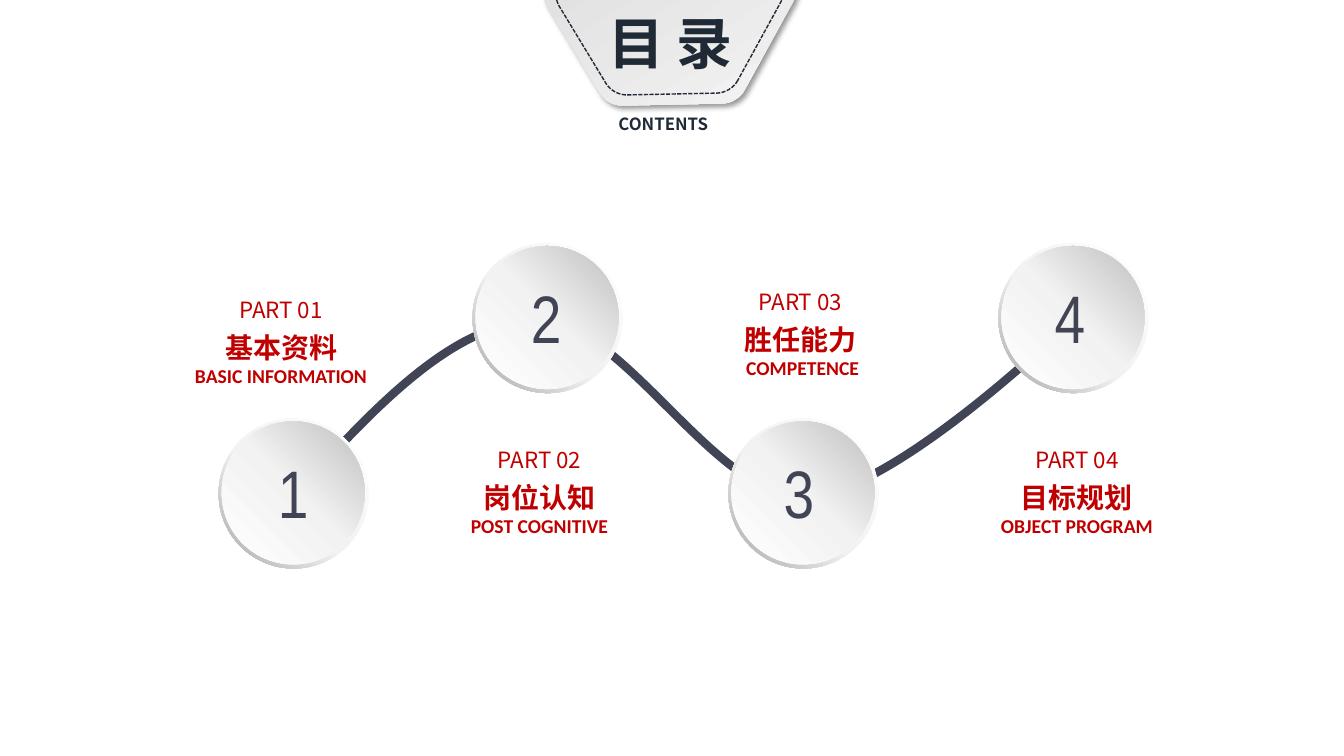
import math
import lxml.etree
import pptx
import pptx.util
import pptx.dml.color
import pptx.enum.dml
import pptx.enum.shapes
import pptx.enum.text
import pptx.oxml.ns

Inches, Pt = pptx.util.Inches, pptx.util.Pt
qn = pptx.oxml.ns.qn
ALIGN = pptx.enum.text.PP_ALIGN

COLORS = {"navy": "202A36", "slate": "414455", "red": "C00000", "black": "000000"}
CJK = "Noto Sans CJK SC"
HEADING, SUBHEADING = "目 录", "CONTENTS"
PARTS = [
    {"number": "1", "disc": (2.17, 4.15), "digit": (2.66, 0.46), "label": (1.83, 2.81, 1.92),
     "lines": ("PART 01", "基本资料", "BASIC INFORMATION")},
    {"number": "2", "disc": (4.69, 2.41), "digit": (5.17, 0.54), "label": (4.57, 4.30, 1.57),
     "lines": ("PART 02", "岗位认知", "POST COGNITIVE")},
    {"number": "3", "disc": (7.23, 4.15), "digit": (7.68, 0.56), "label": (7.25, 2.73, 1.39),
     "lines": ("PART 03", "胜任能力", " COMPETENCE")},
    {"number": "4", "disc": (9.91, 2.41), "digit": (10.37, 0.54), "label": (9.83, 4.30, 1.72),
     "lines": ("PART 04", "目标规划", "OBJECT PROGRAM")},
]
LINE_STYLES = [(16, CJK, False), (20, CJK, True), (14, "Calibri", True)]
PATHWAY = [
    [(2.89, 4.95)],
    [(3.69, 4.07), (4.5, 3.18), (5.35, 3.18)],
    [(6.19, 3.18), (7.09, 4.94), (7.98, 4.93)],
    [(8.87, 4.92), (10.69, 3.13), (10.69, 3.13)],
]
BADGE_CENTER, BADGE_TILT, BADGE_TURN = (6.65, -0.08), -0.6, 59.4
BADGE_STOPS = [(0, "D3D3D3"), (100, "F9F9F9")]
RIM_STOPS = [(0, "FFFFFF"), (55, "F2F2F2"), (100, "A6A6A6")]
FACE_STOPS = [(0, "FFFFFF"), (51, "F2F2F2"), (100, "BFBFBF")]


def rgb(value):
    return pptx.dml.color.RGBColor.from_string(value)


def toward(start, end, share):
    return tuple(a + (b - a) * share for a, b in zip(start, end))


def rounded_hexagon(radius, cut):
    corners = []
    for k in range(6):
        angle = math.radians(60 * k + BADGE_TILT)
        corners.append((BADGE_CENTER[0] + radius * math.cos(angle),
                        BADGE_CENTER[1] + radius * math.sin(angle)))
    segments = []
    for k, corner in enumerate(corners):
        entry = toward(corner, corners[k - 1], cut / radius)
        leave = toward(corner, corners[(k + 1) % 6], cut / radius)
        segments.append([entry])
        segments.append([toward(entry, corner, 0.6), toward(leave, corner, 0.6), leave])
    return segments


def add_outline(shapes, segments, close):
    segments = [[(Inches(x), Inches(y)) for x, y in segment] for segment in segments]
    builder = shapes.build_freeform(*segments[0][0], scale=1.0)
    builder.add_line_segments([segment[-1] for segment in segments[1:]], close=close)
    outline = builder.convert_to_shape()
    outline.shadow.inherit = False
    for line, segment in zip(list(outline._element.iter(qn("a:lnTo"))), segments[1:]):
        if len(segment) == 3:
            curve = lxml.etree.Element(qn("a:cubicBezTo"))
            for x, y in segment:
                lxml.etree.SubElement(curve, qn("a:pt"), x=str(x - outline.left),
                                      y=str(y - outline.top))
            line.getparent().replace(line, curve)
    return outline


def fill_gradient(shape, stops, clockwise):
    shape.fill.gradient()
    stop_list = shape._element.spPr.find(qn("a:gradFill")).find(qn("a:gsLst"))
    for stop in list(stop_list):
        stop_list.remove(stop)
    for position, value in stops:
        stop = lxml.etree.SubElement(stop_list, qn("a:gs"), pos=str(position * 1000))
        lxml.etree.SubElement(stop, qn("a:srgbClr"), val=value)
    shape.fill.gradient_angle = (360 - clockwise) % 360
    shape.line.fill.background()


def add_drop_shadow(shape):
    effects = shape._element.spPr.find(qn("a:effectLst"))
    shadow = lxml.etree.SubElement(effects, qn("a:outerShdw"), blurRad=str(Pt(4)), dist=str(Pt(3)),
                                   dir=str(45 * 60000), algn="tl", rotWithShape="0")
    tint = lxml.etree.SubElement(shadow, qn("a:srgbClr"), val=COLORS["black"])
    lxml.etree.SubElement(tint, qn("a:alpha"), val="40000")


def style(paragraph, size, face, color, bold=False, align=ALIGN.CENTER):
    paragraph.alignment = align
    for run in paragraph.runs:
        run.font.size, run.font.name, run.font.bold = Pt(size), face, bold
        run.font.color.rgb = rgb(COLORS[color])
        lxml.etree.SubElement(run.font._element, qn("a:ea"), typeface=face)


def add_text(shapes, box, lines):
    frame = shapes.add_textbox(*map(Inches, box)).text_frame
    frame.word_wrap = False
    frame.auto_size = pptx.enum.text.MSO_AUTO_SIZE.SHAPE_TO_FIT_TEXT
    frame.text = "\n".join(lines)
    return frame.paragraphs


def add_disc(shapes, kind, left, top, size, stops, clockwise):
    disc = shapes.add_shape(kind, *map(Inches, (left, top, size, size)))
    disc.shadow.inherit = False
    fill_gradient(disc, stops, clockwise)
    return disc


def add_part(shapes, part):
    left, top = part["disc"]
    digit_left, digit_width = part["digit"]
    members = shapes.add_group_shape().shapes
    kinds = pptx.enum.shapes.MSO_SHAPE
    rim = add_disc(members, kinds.DONUT, left, top, 1.49, RIM_STOPS, 135)
    rim.adjustments[0] = 0.049
    add_disc(members, kinds.OVAL, left + 0.03, top + 0.03, 1.42, FACE_STOPS, 315)
    number = add_text(members, (digit_left, top + 0.28, digit_width, 0.91), [part["number"]])
    style(number[0], 48, "Arial Narrow", "slate", align=ALIGN.LEFT)


def add_label(shapes, part):
    lines = add_text(shapes, (*part["label"], 1.09), part["lines"])
    for line, (size, face, bold) in zip(lines, LINE_STYLES):
        style(line, size, face, "red", bold)
    lines[0].line_spacing = 1.3
    lines[1].space_before = Pt(5)


def main():
    deck = pptx.Presentation()
    deck.slide_width, deck.slide_height = Inches(13.34), Inches(7.5)
    slide = deck.slides.add_slide(deck.slide_layouts[5])
    shapes = slide.shapes
    heading = shapes.title

    pathway = add_outline(shapes, PATHWAY, False)
    pathway.fill.background()
    pathway.line.color.rgb = rgb(COLORS["slate"])
    pathway.line.width = Pt(6)

    badge = add_outline(shapes, rounded_hexagon(1.29, 0.15), True)
    badge.rotation = BADGE_TURN
    fill_gradient(badge, BADGE_STOPS, 0)
    add_drop_shadow(badge)

    shapes._spTree.append(heading._element)
    heading.left, heading.top, heading.width, heading.height = map(Inches, (6.01, 0.08, 1.29, 0.67))
    frame = heading.text_frame
    frame.text = HEADING
    frame.margin_left = frame.margin_right = frame.margin_top = frame.margin_bottom = 0
    frame.vertical_anchor = pptx.enum.text.MSO_ANCHOR.MIDDLE
    style(frame.paragraphs[0], 40, CJK, "navy", True)

    stitching = add_outline(shapes, rounded_hexagon(1.17, 0.14), True)
    stitching.rotation = BADGE_TURN
    stitching.fill.background()
    stitching.line.color.rgb = rgb(COLORS["navy"])
    stitching.line.width = Pt(1)
    stitching.line.dash_style = pptx.enum.dml.MSO_LINE.SQUARE_DOT

    subheading = add_text(shapes, (6.04, 1.08, 1.22, 0.3), [SUBHEADING])
    style(subheading[0], 12, CJK, "navy", True, ALIGN.LEFT)

    for part in PARTS:
        add_part(shapes, part)
    for part in PARTS:
        add_label(shapes, part)
    deck.save("out.pptx")


if __name__ == "__main__":
    main()
